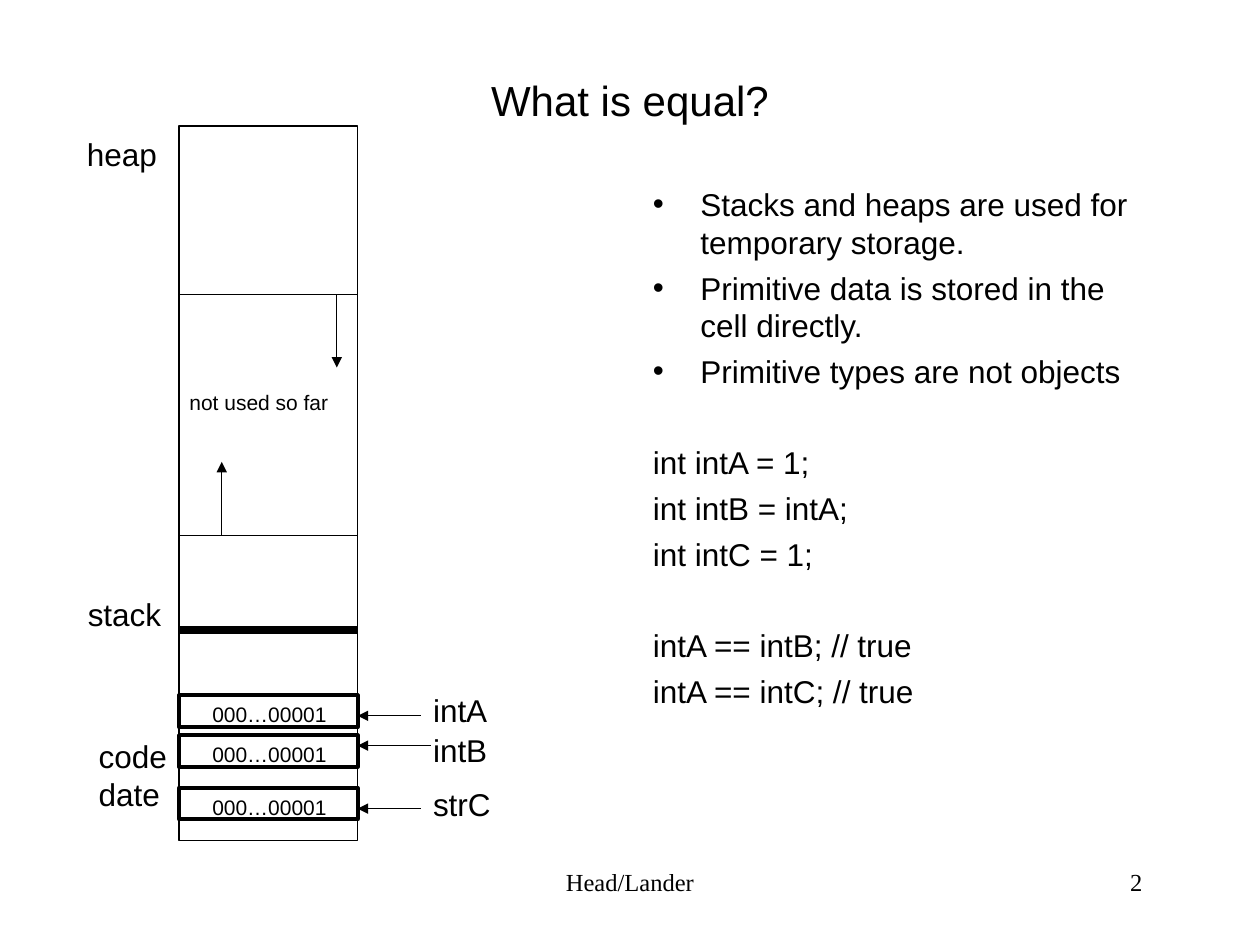
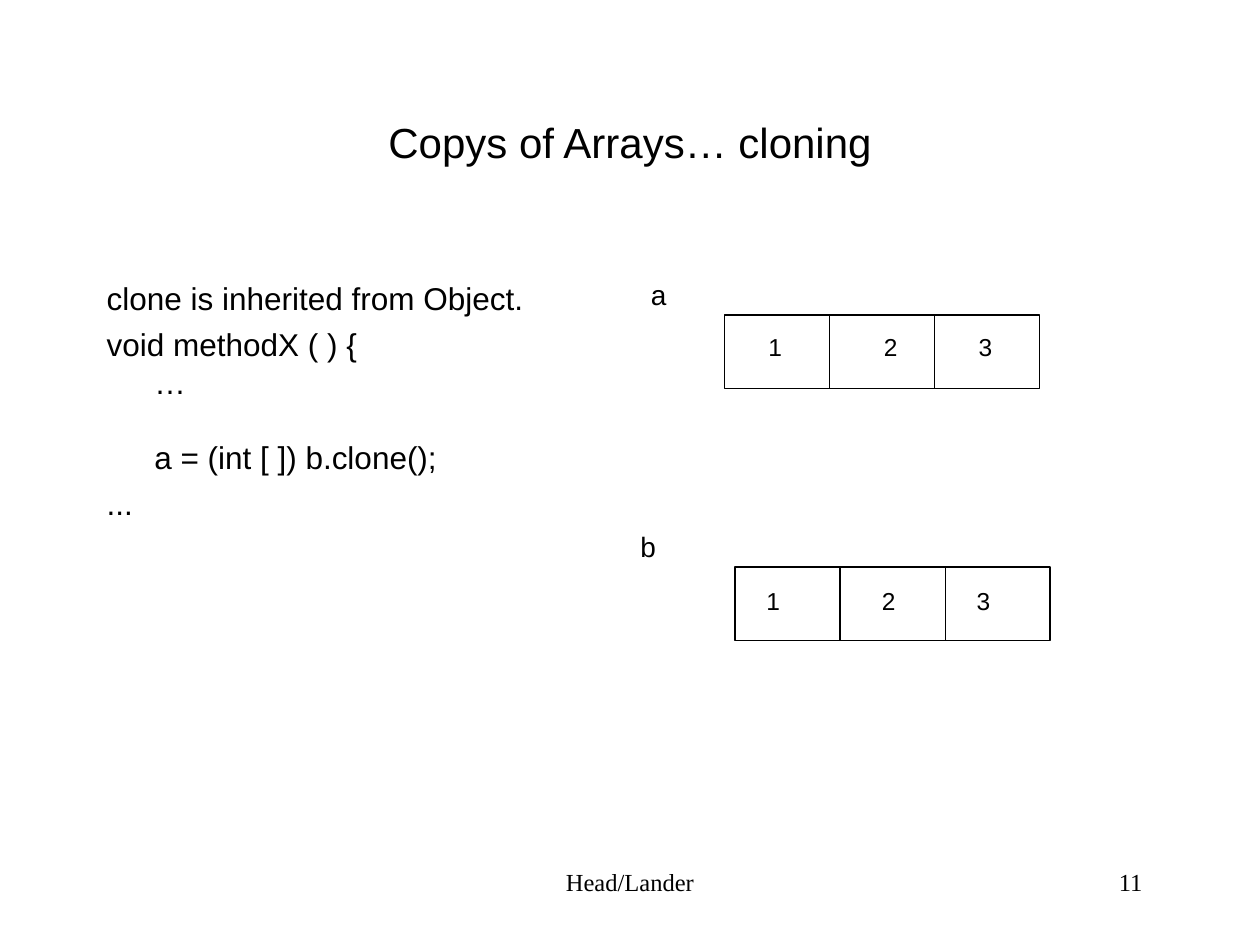
"""Build two Java lecture slides on equality in memory and cloning of arrays."""
import dataclasses
from typing import Any

import lxml.etree
import pptx
import pptx.dml.color
import pptx.enum.shapes
import pptx.enum.text
import pptx.oxml.ns
import pptx.util

Cm, Pt = pptx.util.Cm, pptx.util.Pt
ALIGN = pptx.enum.text.PP_ALIGN
ANCHOR = pptx.enum.text.MSO_ANCHOR
AUTO_SIZE = pptx.enum.text.MSO_AUTO_SIZE
qn = pptx.oxml.ns.qn

BLACK = pptx.dml.color.RGBColor(0x00, 0x00, 0x00)
SANS, SERIF = "Arial", "Times New Roman"
TITLE_SIZE, BODY_SIZE, FOOTER_SIZE = 24, 18, 14
LINE_FACTOR = 1.2
PARAGRAPH_GAP = 4.5
SKIPPED_LINE = LINE_FACTOR * BODY_SIZE
THIN, CELL_EDGE, HEAVY = 0.75, 2.25, 4.5
HANGING = 0.96
FRAME = {
    "margin_left": Cm(0.25), "margin_right": Cm(0.25),
    "margin_top": Cm(0.13), "margin_bottom": Cm(0.13),
}


@dataclasses.dataclass(frozen=True)
class Line:
    """One paragraph of a body list."""
    text: str
    bullet: bool = False
    gap: float = PARAGRAPH_GAP
    indented: bool = False


@dataclasses.dataclass(frozen=True)
class Label:
    """A short text that fits its box; lengths in cm."""
    text: str
    x: float
    y: float
    w: float
    size: int = BODY_SIZE


@dataclasses.dataclass(frozen=True)
class Rule:
    """A straight line or arrow; lengths in cm."""
    x1: float
    y1: float
    x2: float
    y2: float
    weight: float = THIN
    arrow: bool = False


@dataclasses.dataclass(frozen=True)
class Variable:
    """A memory cell with the name that points to it."""
    name: str
    y: float
    name_y: float
    name_w: float
    arrow_y: float
    arrow_from: float


@dataclasses.dataclass(frozen=True)
class Array:
    """A row of three array cells with its name."""
    name: str
    name_x: float
    name_y: float
    x: float
    y: float
    digits_x: float
    digits_y: float


MEMORY_X, MEMORY_Y, MEMORY_W, MEMORY_H = 3.61, 2.54, 3.6, 14.4
MEMORY_RIGHT = MEMORY_X + MEMORY_W
HEAP_END, STACK_TOP, STACK_END = 5.93, 10.8, 12.7
CELL_H, NAME_X = 0.64, 8.48
MEMORY_RULES = (
    Rule(MEMORY_X, STACK_END, MEMORY_RIGHT, STACK_END, HEAVY),
    Rule(MEMORY_X, STACK_TOP, MEMORY_RIGHT, STACK_TOP),
    Rule(MEMORY_X, HEAP_END, MEMORY_RIGHT, HEAP_END),
    Rule(6.79, HEAP_END, 6.79, 7.41, arrow=True),
    Rule(4.47, STACK_TOP, 4.47, 9.31, arrow=True),
)
MEMORY_LABELS = (
    Label("not used so far", 3.57, 7.72, 3.31, 12),
    Label("code\vdate", 1.74, 14.73, 1.9),
    Label("stack", 1.52, 11.86, 2.0),
    Label("heap", 1.5, 2.59, 2.1),
)
VARIABLES = (
    Variable("intA", 14.02, 13.8, 1.62, 14.43, 8.48),
    Variable("intB", 14.82, 14.6, 1.62, 15.03, 8.68),
    Variable("strC", 15.88, 15.7, 1.7, 16.3, 8.48),
)
EQUAL_BODY = (
    Line("Stacks and heaps are used for temporary storage.", bullet=True),
    Line("Primitive data is stored in the cell directly.", bullet=True),
    Line("Primitive types are not objects", bullet=True),
    Line("int intA = 1;", gap=2 * PARAGRAPH_GAP + SKIPPED_LINE),
    Line("int intB = intA;"),
    Line("int intC = 1;"),
    Line("intA == intB; // true", gap=2 * PARAGRAPH_GAP + SKIPPED_LINE),
    Line("intA == intC; // true"),
)

ARRAY_W, ARRAY_H, CELL_COUNT = 6.35, 1.48, 3
DIGIT_OFFSETS = (0, 2.33, 4.24)
ARRAYS = (
    Array("a", 12.87, 5.46, 14.6, 6.35, 15.24, 6.56),
    Array("b", 12.66, 10.54, 14.82, 11.43, 15.2, 11.68),
)
CLONE_BODY = (
    Line("clone is inherited from Object."),
    Line("void methodX ( ) {"),
    Line("…", gap=0, indented=True),
    Line("a = (int [ ]) b.clone();", gap=SKIPPED_LINE, indented=True),
    Line("..."),
)


def apply(target: Any, values: dict[str, Any]) -> None:
    """Set each attribute of the target from a dict."""
    for name, value in values.items():
        setattr(target, name, value)


def write(p: Any, text: str, size: float, align: Any = ALIGN.LEFT,
          font: str = SANS, gap: float = 0) -> None:
    """Fill a paragraph with formatted text."""
    p.text = text
    apply(p, {"alignment": align, "line_spacing": Pt(LINE_FACTOR * size),
              "space_before": Pt(gap)})
    for r in p.runs:
        apply(r.font, {"name": font, "size": Pt(size)})
        r.font.color.rgb = BLACK


def place(sp: Any, x: float, y: float, w: float, h: float) -> None:
    """Move and size a shape in cm."""
    apply(sp, {"left": Cm(x), "top": Cm(y), "width": Cm(w), "height": Cm(h)})


def add_text(slide: Any, text: str, x: float, y: float, w: float, h: float,
             size: float, align: Any = ALIGN.LEFT, font: str = SANS) -> Any:
    """Add a text box and return its frame."""
    tf = slide.shapes.add_textbox(Cm(x), Cm(y), Cm(w), Cm(h)).text_frame
    apply(tf, FRAME | {"word_wrap": True})
    write(tf.paragraphs[0], text, size, align, font)
    return tf


def add_label(slide: Any, label: Label) -> None:
    """Add a text box as high as its text."""
    lines = label.text.count("\v") + 1
    h = 0.26 + Pt(LINE_FACTOR * label.size).cm * lines
    tf = add_text(slide, label.text, label.x, label.y, label.w, h, label.size)
    apply(tf, {"word_wrap": False, "auto_size": AUTO_SIZE.SHAPE_TO_FIT_TEXT})


def add_box(slide: Any, x: float, y: float, w: float, h: float,
            weight: float = THIN) -> None:
    """Add an unfilled rectangle with a black edge."""
    rect = pptx.enum.shapes.MSO_SHAPE.RECTANGLE
    sp = slide.shapes.add_shape(rect, Cm(x), Cm(y), Cm(w), Cm(h))
    sp.shadow.inherit = False
    sp.fill.background()
    sp.line.color.rgb = BLACK
    sp.line.width = Pt(weight)


def add_rule(slide: Any, rule: Rule) -> None:
    """Add a line, with an arrowhead at its end if asked for."""
    straight = pptx.enum.shapes.MSO_CONNECTOR.STRAIGHT
    ends = (Cm(v) for v in (rule.x1, rule.y1, rule.x2, rule.y2))
    sp = slide.shapes.add_connector(straight, *ends)
    sp.line.color.rgb = BLACK
    sp.line.width = Pt(rule.weight)
    if rule.arrow:
        head = lxml.etree.SubElement(sp.line._get_or_add_ln(), qn("a:tailEnd"))
        head.set("type", "triangle")
    lxml.etree.SubElement(sp._element.spPr, qn("a:effectLst"))


def set_bullet(p: Any, line: Line) -> None:
    """Give a body paragraph its indent and bullet."""
    pPr = p._p.get_or_add_pPr()
    pPr.set("marL", str(Cm(HANGING)))
    pPr.set("indent", str(0 if line.indented else -Cm(HANGING)))
    if line.bullet:
        lxml.etree.SubElement(pPr, qn("a:buFont")).set("typeface", SANS)
        lxml.etree.SubElement(pPr, qn("a:buChar")).set("char", "•")
    else:
        lxml.etree.SubElement(pPr, qn("a:buNone"))


def add_slide(prs: Any, title: str, title_y: float, lines: tuple[Line, ...],
              body_x: float, body_y: float, body_h: float, number: int) -> Any:
    """Add a slide with title, body list and footer."""
    slide = prs.slides.add_slide(prs.slide_layouts[1])
    sp = slide.shapes.title
    place(sp, 1.9, title_y, 21.6, 2.33)
    apply(sp.text_frame, FRAME | {"vertical_anchor": ANCHOR.MIDDLE,
                                  "auto_size": AUTO_SIZE.NONE})
    write(sp.text_frame.paragraphs[0], title, TITLE_SIZE, ALIGN.CENTER)

    sp = slide.placeholders[1]
    place(sp, body_x, body_y, 10.58, body_h)
    tf = sp.text_frame
    apply(tf, FRAME | {"vertical_anchor": ANCHOR.TOP, "auto_size": AUTO_SIZE.NONE})
    for i, line in enumerate(lines):
        p = tf.add_paragraph() if i else tf.paragraphs[0]
        write(p, line.text, BODY_SIZE, gap=line.gap)
        set_bullet(p, line)

    add_text(slide, "Head/Lander", 8.68, 17.34, 8.04, 1.27,
             FOOTER_SIZE, ALIGN.CENTER, SERIF)
    add_text(slide, str(number), 17.99, 17.34, 5.29, 1.27,
             FOOTER_SIZE, ALIGN.RIGHT, SERIF)
    return slide


def add_variable(slide: Any, var: Variable) -> None:
    """Draw a memory cell, its value, its name and the arrow between."""
    add_box(slide, MEMORY_X, var.y, MEMORY_W, CELL_H, CELL_EDGE)
    add_rule(slide, Rule(var.arrow_from, var.arrow_y, MEMORY_RIGHT, var.arrow_y,
                         arrow=True))
    add_label(slide, Label("000…00001", 4.03, var.y, 2.84, 12))
    add_label(slide, Label(var.name, NAME_X, var.name_y, var.name_w))


def add_array(slide: Any, array: Array) -> None:
    """Draw an array as a divided box with its name and values."""
    add_box(slide, array.x, array.y, ARRAY_W, ARRAY_H)
    for i in range(1, CELL_COUNT):
        x = array.x + i * ARRAY_W / CELL_COUNT
        add_rule(slide, Rule(x, array.y, x, array.y + ARRAY_H))
    add_label(slide, Label(array.name, array.name_x, array.name_y, 0.81, 16))
    for i, dx in enumerate(DIGIT_OFFSETS, start=1):
        add_label(slide, Label(str(i), array.digits_x + dx, array.digits_y, 0.79, 14))


def main() -> None:
    """Build both slides and save them."""
    prs = pptx.Presentation()
    apply(prs, {"slide_width": Cm(25.4), "slide_height": Cm(19.05)})

    slide = add_slide(prs, "What is equal?", 0.85, EQUAL_BODY, 12.91, 3.6, 13.34, 2)
    add_box(slide, MEMORY_X, MEMORY_Y, MEMORY_W, MEMORY_H)
    for rule in MEMORY_RULES:
        add_rule(slide, rule)
    for var in VARIABLES:
        add_variable(slide, var)
    for label in MEMORY_LABELS:
        add_label(slide, label)

    slide = add_slide(prs, "Copys of Arrays… cloning", 1.69, CLONE_BODY,
                      1.9, 5.5, 11.43, 11)
    for array in ARRAYS:
        add_array(slide, array)

    prs.save("out.pptx")


if __name__ == "__main__":
    main()
